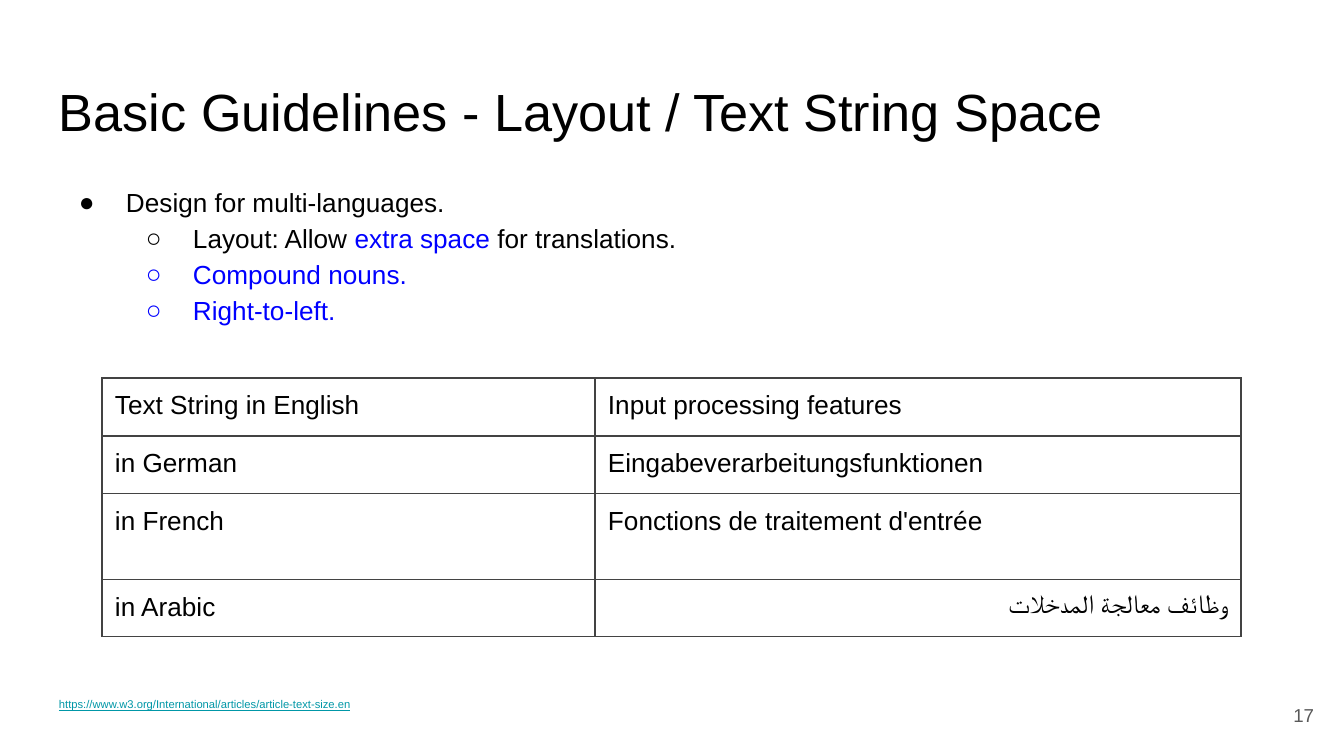
"""Build a slide on leaving layout space for translated text."""
from lxml import etree
from pptx import Presentation, util as u
from pptx.dml.color import RGBColor
from pptx.enum import text as t
from pptx.oxml.ns import qn

SCALE = u.Inches(10) / 1344
INK, BLUE = "000000", "0000FF"


def px(*nums):
    return [round(n * SCALE) for n in nums]


def style(run, size, color):
    run.font.name = "Arial"
    run.font.size = u.Pt(size)
    run.font.color.rgb = RGBColor.from_string(color)


deck = Presentation()
deck.slide_width, deck.slide_height = px(1344, 756)
slide = deck.slides.add_slide(deck.slide_layouts[6])
inset, = px(13)

title = "Basic Guidelines - Layout / Text String Space"
link = "https://www.w3.org/International/articles/article-text-size.en"
points = [
    (0, INK, [("Design for multi-languages.", INK)]),
    (1, INK, [("Layout: Allow ", INK), ("extra space", BLUE), (" for translations.", INK)]),
    (1, BLUE, [("Compound nouns.", BLUE)]),
    (1, BLUE, [("Right-to-left.", BLUE)]),
]
boxes = [
    ((46, 66, 1252, 84), [(0, None, [(title, INK)])], 28),
    ((46, 169, 1252, 503), points, 14),
    ((46, 691, 649, 65), [(0, None, [(link, "0097A7")])], 6),
    ((1246, 686, 81, 58), [(0, None, [("17", "595959")])], 10),
]
frames = []
for place, paras, size in boxes:
    frame = slide.shapes.add_textbox(*px(*place)).text_frame
    frame.word_wrap = True
    frame.margin_left = frame.margin_right = inset
    frame.margin_top = frame.margin_bottom = inset
    frames.append(frame)
    for i, (level, dot, parts) in enumerate(paras):
        para = frame.add_paragraph() if i else frame.paragraphs[0]
        para.level = level
        for words, color in parts:
            run = para.add_run()
            run.text = words
            style(run, size, color)
        if dot:
            para.line_spacing = 1.15
            props = para._p.get_or_add_pPr()
            left, hang = px(67 * (level + 1), -47)
            props.set("marL", str(left))
            props.set("indent", str(hang))
            tint = etree.SubElement(props, qn("a:buClr"))
            etree.SubElement(tint, qn("a:srgbClr"), val=dot)
            etree.SubElement(props, qn("a:buFont"), typeface="Arial")
            etree.SubElement(props, qn("a:buChar"), char="●○"[level])

frames[2].paragraphs[0].runs[0].font.underline = True
frames[3].vertical_anchor = t.MSO_ANCHOR.MIDDLE
frames[3].paragraphs[0].alignment = t.PP_ALIGN.RIGHT

rows = [
    ("Text String in English", "Input processing features"),
    ("in German", "Eingabeverarbeitungsfunktionen"),
    ("in French", "Fonctions de traitement d'entrée"),
    ("in Arabic", "وظائف معالجة المدخلات"),
]
widths, heights = px(493, 646), px(58, 56, 86, 56)
table = slide.shapes.add_table(4, 2, *px(102, 378, 1139, 256)).table
table.first_row = table.horz_banding = False
for col, width in zip(table.columns, widths):
    col.width = width
for r, (row, height) in enumerate(zip(rows, heights)):
    table.rows[r].height = height
    for c, words in enumerate(row):
        cell = table.cell(r, c)
        cell.margin_left = cell.margin_right = inset
        cell.margin_top = cell.margin_bottom = inset
        cell.text_frame.text = words
        style(cell.text_frame.paragraphs[0].runs[0], 14, INK)
        props = cell._tc.get_or_add_tcPr()
        for side in ("lnL", "lnR", "lnT", "lnB"):
            line = etree.SubElement(props, qn("a:" + side), w=str(u.Pt(0.75)))
            fill = etree.SubElement(line, qn("a:solidFill"))
            etree.SubElement(fill, qn("a:srgbClr"), val="434343")
        cell.fill.background()
table.cell(3, 1).text_frame.paragraphs[0].alignment = t.PP_ALIGN.RIGHT

deck.save("out.pptx")
